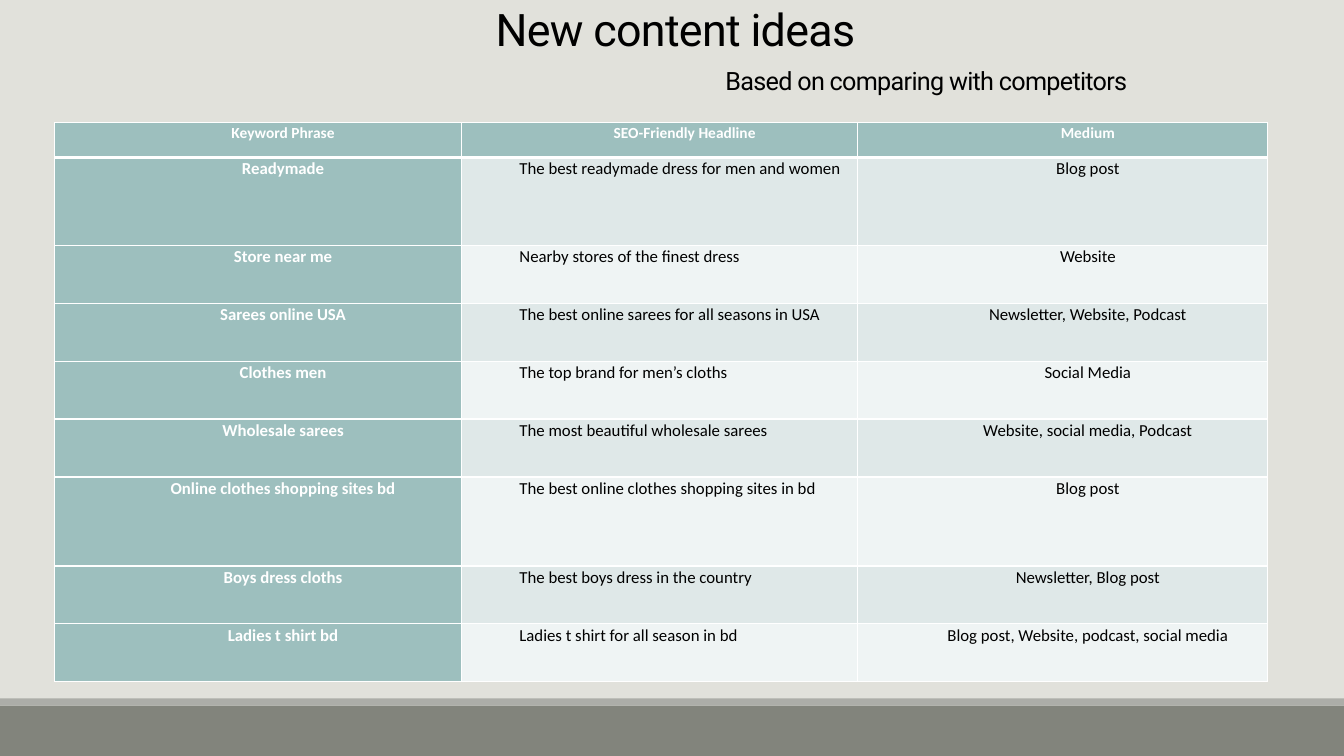
import pptx
import pptx.util
import pptx.dml.color
import pptx.enum.shapes
import pptx.enum.text
import pptx.oxml
import pptx.oxml.ns

Cm = pptx.util.Cm
Pt = pptx.util.Pt
ALIGN = pptx.enum.text.PP_ALIGN

COLORS = {
    "background": "E1E1DB",
    "footer": "82847C",
    "footer edge": "ACADA8",
    "teal": "9DBFBE",
    "band dark": "DFE8E8",
    "band light": "EFF4F4",
    "white": "FFFFFF",
    "black": "000000",
}

ROWS = [
    ("Keyword Phrase", "SEO-Friendly Headline", "Medium"),
    ("Readymade", "The best readymade dress for men and women", "Blog post"),
    ("Store near me", "Nearby stores of the finest dress", "Website"),
    ("Sarees online USA", "The best online sarees for all seasons in USA",
     "Newsletter, Website, Podcast"),
    ("Clothes men", "The top brand for men’s cloths", "Social Media"),
    ("Wholesale sarees", "The most beautiful wholesale sarees",
     "Website, social media, Podcast"),
    ("Online clothes shopping sites bd",
     "The best online clothes shopping sites in bd", "Blog post"),
    ("Boys dress cloths", "The best boys dress in the country",
     "Newsletter, Blog post"),
    ("Ladies t shirt bd", "Ladies t shirt for all season in bd",
     "Blog post, Website, podcast, social media"),
]
COLUMN_WIDTHS = [10.26, 9.98, 10.34]
ROW_HEIGHTS = [0.88, 2.21] + [1.46] * 4 + [2.24] + [1.46] * 2


def paint(fill, name):
    fill.solid()
    fill.fore_color.rgb = pptx.dml.color.RGBColor.from_string(COLORS[name])


def add_border(cell, side, points):
    cell._tc.get_or_add_tcPr().append(pptx.oxml.parse_xml(
        f'<a:{side} {pptx.oxml.ns.nsdecls("a")} w="{Pt(points)}"><a:solidFill>'
        f'<a:srgbClr val="{COLORS["white"]}"/></a:solidFill></a:{side}>'))


# Slide and background
presentation = pptx.Presentation()
presentation.slide_width = Cm(33.87)
presentation.slide_height = Cm(19.05)
slide = presentation.slides.add_slide(presentation.slide_layouts[5])
paint(slide.background.fill, "background")

# Footer bars
for top, height, color in [(17.78, 1.27, "footer"), (17.6, 0.18, "footer edge")]:
    bar = slide.shapes.add_shape(pptx.enum.shapes.MSO_SHAPE.RECTANGLE,
                                 0, Cm(top), Cm(33.87), Cm(height))
    bar.shadow.inherit = False
    bar.line.fill.background()
    paint(bar.fill, color)

# Title with an indented second line
title = slide.shapes.title
title.left, title.top, title.width, title.height = Cm(3.05), 0, Cm(27.94), Cm(2.64)
frame = title.text_frame
frame.text = "New content ideas\nBased on comparing with competitors"
frame.word_wrap = True
frame.auto_size = pptx.enum.text.MSO_AUTO_SIZE.NONE
frame.vertical_anchor = pptx.enum.text.MSO_ANCHOR.BOTTOM
frame.margin_bottom = Cm(0.23)
for paragraph, size, space, indent in zip(frame.paragraphs, (32, 18), (0, 10.5), (0, 12.65)):
    paragraph.alignment = ALIGN.CENTER
    paragraph.line_spacing = 0.85
    paragraph.space_before = Pt(space)
    paragraph._p.get_or_add_pPr().set("marL", str(Cm(indent)))
    paragraph.font.name = "Roboto"
    paragraph.font.size = Pt(size)
    paragraph.runs[0].font._element.set("spc", "-50")
    paint(paragraph.font.fill, "black")

# Table of content ideas
table = slide.shapes.add_table(len(ROWS), len(COLUMN_WIDTHS), Cm(1.37), Cm(3.09),
                               Cm(sum(COLUMN_WIDTHS)), Cm(sum(ROW_HEIGHTS))).table
for column, width in zip(table.columns, COLUMN_WIDTHS):
    column.width = Cm(width)
for row, height in zip(table.rows, ROW_HEIGHTS):
    row.height = Cm(height)

for row_index, texts in enumerate(ROWS):
    for column_index, text in enumerate(texts):
        is_heading = row_index == 0 or column_index == 0
        cell = table.cell(row_index, column_index)
        cell.margin_left = cell.margin_right = Cm(0.19)
        cell.margin_top = cell.margin_bottom = 0

        # Borders, with a thick rule under the header row
        add_border(cell, "lnL", 1)
        add_border(cell, "lnR", 1)
        add_border(cell, "lnT", 3 if row_index == 1 else 1)
        add_border(cell, "lnB", 3 if row_index == 0 else 1)
        band = "band dark" if row_index % 2 else "band light"
        paint(cell.fill, "teal" if is_heading else band)

        # Text
        cell.text = text
        paragraph = cell.text_frame.paragraphs[0]
        is_headline = column_index == 1 and row_index > 0
        paragraph.alignment = ALIGN.LEFT if is_headline else ALIGN.CENTER
        paragraph.line_spacing = 1.07
        paragraph.space_after = Pt(8 if column_index == 2 else 0)
        paragraph._p.get_or_add_pPr().set("marL", str(Cm(1.27)))
        paragraph.font.name = "Calibri"
        paragraph.font.size = Pt(11 if row_index == 0 else 12)
        paragraph.font.bold = is_heading
        paint(paragraph.font.fill, "white" if is_heading else "black")

presentation.save("out.pptx")
